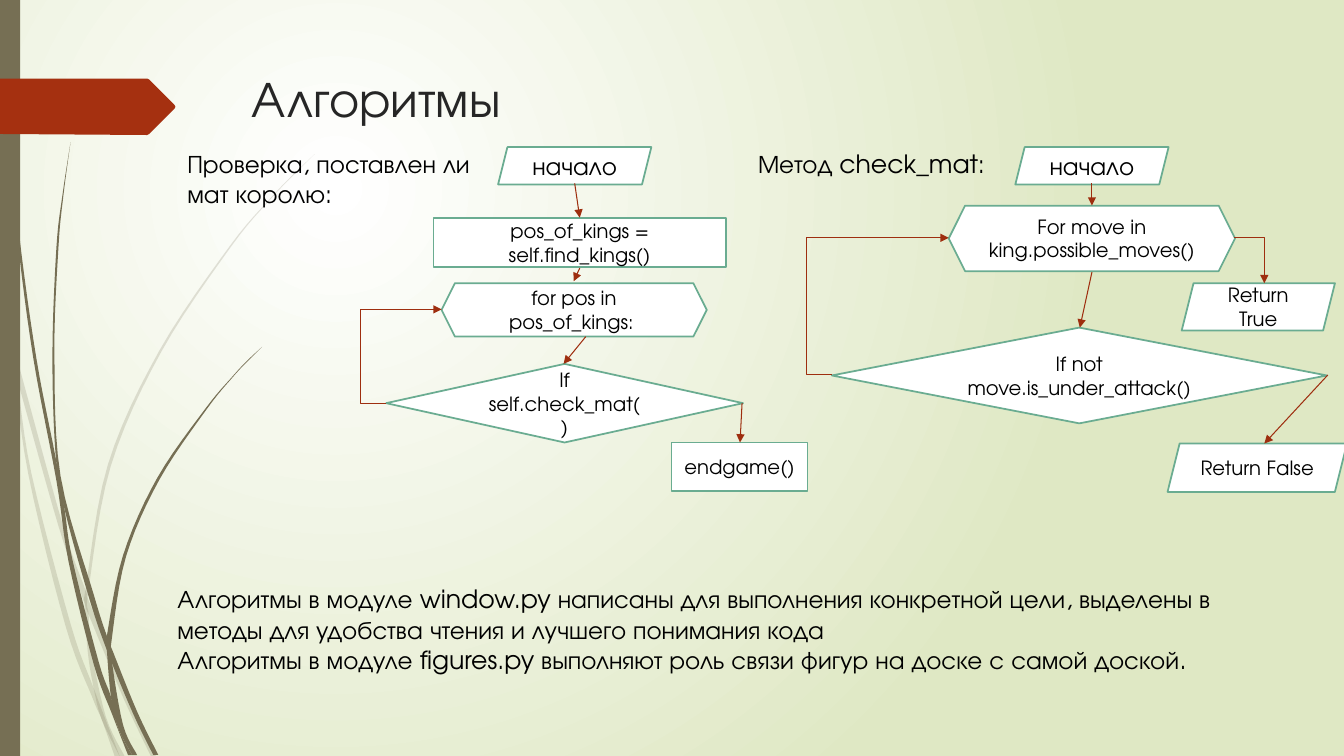
from dataclasses import dataclass

from lxml.etree import SubElement
from pptx import Presentation
from pptx.dml.color import RGBColor as RGB
from pptx.enum.shapes import MSO_CONNECTOR as CONN, MSO_SHAPE as SHAPE
from pptx.enum.text import MSO_ANCHOR as ANCHOR, MSO_AUTO_SIZE as AUTO, PP_ALIGN as ALIGN
from pptx.oxml.ns import qn
from pptx.util import Pt

PX = 9144


@dataclass(frozen=True)
class Theme:
    font: str = "TeX Gyre Adventor"
    title: int = 36
    body: int = 18
    code: int = 14
    white: str = "FFFFFF"
    glow: str = "DFE8C4"
    reed: str = "766F54"
    tab: str = "A53010"
    border: str = "6AAC91"
    arrow: str = "9E2E0F"
    heading: str = "262626"
    text: str = "000000"


T = Theme()

PALE_REEDS = [
    ([(0, 282), (11, 350), (17, 376), (31, 469), (70, 619), (93, 683), (119, 751)],
     [(114, 751), (101, 714), (92, 693), (65, 621), (28, 470), (11, 350), (0, 299)]),
    ([(14, 345), (62, 520), (85, 586), (88, 596), (127, 692), (155, 751)],
     [(150, 751), (123, 694), (88, 610), (84, 599), (58, 522), (17, 376)]),
    ([(312, 153), (289, 175), (268, 197), (228, 244), (158, 348), (107, 461), (85, 584),
      (84, 599), (87, 646), (93, 683), (101, 714), (119, 751)],
     [(124, 751), (105, 711), (91, 646), (88, 610), (88, 584), (110, 462), (160, 349),
      (229, 245), (268, 198), (290, 175), (312, 153)]),
]
DARK_REEDS = [
    ([(3, 0), (7, 110), (17, 233), (33, 355), (56, 477), (68, 557), (93, 659), (111, 708),
      (127, 749)],
     [(131, 749), (117, 722), (110, 691), (98, 657), (72, 556), (64, 505), (55, 453),
      (36, 355), (19, 232), (8, 109), (4, 0)]),
    ([(70, 141), (62, 193), (56, 245), (52, 349), (55, 449), (64, 505), (88, 592),
      (106, 645), (132, 708), (152, 749)],
     [(157, 749), (136, 706), (113, 649), (106, 631), (93, 590), (60, 472), (54, 349),
      (58, 245), (63, 193), (70, 141)]),
    ([(260, 344), (245, 358), (231, 373), (204, 405), (156, 474), (122, 551), (106, 631),
      (106, 645), (110, 691), (117, 722), (131, 749)],
     [(136, 749), (122, 719), (111, 656), (111, 633), (125, 552), (158, 476), (205, 406),
      (231, 374), (245, 359), (260, 344)]),
]

KING_CHECK_NODES = [
    (SHAPE.PARALLELOGRAM, (494, 146, 152, 37), "начало", T.body),
    (SHAPE.RECTANGLE, (430, 216, 290, 49), "pos_of_kings = self.find_kings()", T.code),
    (SHAPE.DIAMOND, (383, 361, 354, 78), "If self.check_mat()", T.code),
    (SHAPE.HEXAGON, (438, 281, 263, 53), "for pos in pos_of_kings: ", T.code),
    (SHAPE.RECTANGLE, (666, 439, 135, 48), "endgame()", T.code),
]
CHECK_MAT_NODES = [
    (SHAPE.PARALLELOGRAM, (1007, 146, 152, 37), "начало", T.body),
    (SHAPE.HEXAGON, (941, 204, 284, 65), "For move in king.possible_moves()", T.code),
    (SHAPE.DIAMOND, (825, 325, 491, 95), "If not move.is_under_attack()", T.code),
    (SHAPE.PARALLELOGRAM, (1158, 440, 178, 48), "Return False", T.code),
    (SHAPE.PARALLELOGRAM, (1172, 281, 152, 47), "Return True", T.code),
]
STRAIGHT_ARROWS = [
    (570, 182, 575, 216), (575, 266, 569, 279), (581, 334, 559, 361), (736, 400, 734, 439),
    (1317, 372, 1254, 440), (1083, 182, 1083, 204), (1083, 270, 1071, 325),
]
LOOP_ARROWS = [(383, 400, 438, 307), (825, 372, 941, 236)]
LOOP_DETOUR = 25
EXIT_ARROW = (1224, 236, 1254, 281)


def emu(*lengths):
    return [n * PX for n in lengths]


def style_runs(tf, size, color):
    for p in tf.paragraphs:
        for r in p.runs:
            r.font.name = T.font
            r.font.size = Pt(size)
            r.font.color.rgb = RGB.from_string(color)


def set_background(s):
    fill = s.background.fill
    fill.gradient()
    for stop, position, color in zip(fill.gradient_stops, (0, 1), (T.white, T.glow)):
        stop.position = position
        stop.color.rgb = RGB.from_string(color)
    grad = s.element.find(".//" + qn("a:gradFill"))
    grad.remove(grad.find(qn("a:lin")))
    radial = SubElement(grad, qn("a:path"), {"path": "circle"})
    SubElement(radial, qn("a:fillToRect"),
               {"l": "50000", "t": "50000", "r": "100000", "b": "100000"})


def paint(sp, color, border=None):
    sp.shadow.inherit = False
    sp.fill.solid()
    sp.fill.fore_color.rgb = RGB.from_string(color)
    if border:
        sp.line.color.rgb = RGB.from_string(border)
        sp.line.width = Pt(1.25)
    else:
        sp.line.fill.background()


def smooth_edge(points, steps=6):
    padded = [points[0], *points, points[-1]]
    curve = []
    for a, b, c, d in zip(padded, padded[1:], padded[2:], padded[3:]):
        for t in (i / steps for i in range(steps)):
            curve.append(tuple(
                (2 * q + (r - p) * t + (2 * p - 5 * q + 4 * r - u) * t ** 2
                 + (3 * q - p - 3 * r + u) * t ** 3) / 2
                for p, q, r, u in zip(a, b, c, d)))
    return curve + [points[-1]]


def add_outline(s, points, color, opacity=100):
    corners = [[round(n) for n in emu(*point)] for point in points]
    builder = s.shapes.build_freeform(*corners[0])
    builder.add_line_segments(corners[1:], close=True)
    sp = builder.convert_to_shape()
    paint(sp, color)
    if opacity < 100:
        rgb = sp.element.spPr.find(qn("a:solidFill")).find(qn("a:srgbClr"))
        SubElement(rgb, qn("a:alpha"), {"val": str(opacity * 1000)})


def add_reeds(s, reeds, opacity):
    for down, up in reeds:
        add_outline(s, smooth_edge(down) + smooth_edge(up), T.reed, opacity)


def add_label(s, box, text, size=T.body, color=T.text):
    tf = s.shapes.add_textbox(*emu(*box)).text_frame
    tf.word_wrap = True
    tf.auto_size = AUTO.NONE
    tf.text = text
    style_runs(tf, size, color)


def add_node(s, kind, box, text, size):
    sp = s.shapes.add_shape(kind, *emu(*box))
    paint(sp, T.white, T.border)
    tf = sp.text_frame
    tf.word_wrap = True
    tf.vertical_anchor = ANCHOR.MIDDLE
    tf.text = text
    tf.paragraphs[0].alignment = ALIGN.CENTER
    style_runs(tf, size, T.text)


def add_arrow(s, ends, kind=CONN.STRAIGHT):
    cx = s.shapes.add_connector(kind, *emu(*ends))
    cx.line.color.rgb = RGB.from_string(T.arrow)
    cx.line.width = Pt(0.75)
    SubElement(cx.line._get_or_add_ln(), qn("a:tailEnd"), {"type": "triangle"})
    SubElement(cx.element.spPr, qn("a:effectLst"))
    return cx.element.spPr.find(qn("a:prstGeom"))


def add_loop_arrow(s, ends):
    geom = add_arrow(s, ends, CONN.ELBOW)
    bend = round(-LOOP_DETOUR / (ends[2] - ends[0]) * 100000)
    guides = geom.find(qn("a:avLst"))
    SubElement(guides, qn("a:gd"), {"name": "adj1", "fmla": f"val {bend}"})


def main():
    prs = Presentation()
    prs.slide_width, prs.slide_height = emu(1333, 750)
    s = prs.slides.add_slide(prs.slide_layouts[6])
    set_background(s)
    add_reeds(s, PALE_REEDS, 20)
    add_reeds(s, DARK_REEDS, 100)
    paint(s.shapes.add_shape(SHAPE.RECTANGLE, *emu(0, 0, 20, 750)), T.reed)
    add_outline(s, [(0, 78), (146, 78), (148, 79), (173, 104), (174, 106), (173, 108),
                    (148, 133), (146, 134), (0, 133)], T.tab)
    add_label(s, (240, 62, 975, 140), "Алгоритмы", T.title, T.heading)
    for node in KING_CHECK_NODES + CHECK_MAT_NODES:
        add_node(s, *node)
    add_label(s, (176, 142, 318, 71), "Проверка, поставлен ли мат королю:")
    add_label(s, (742, 142, 252, 40), "Метод check_mat:")
    for ends in STRAIGHT_ARROWS:
        add_arrow(s, ends)
    for ends in LOOP_ARROWS:
        add_loop_arrow(s, ends)
    add_arrow(s, EXIT_ARROW, CONN.ELBOW).set("prst", "bentConnector2")
    add_label(s, (166, 574, 1122, 101),
              "Алгоритмы в модуле window.py написаны для выполнения конкретной цели, "
              "выделены в методы для удобства чтения и лучшего понимания кода\n"
              "Алгоритмы в модуле figures.py выполняют роль связи фигур на доске с самой доской.")
    prs.save("out.pptx")


if __name__ == "__main__":
    main()
